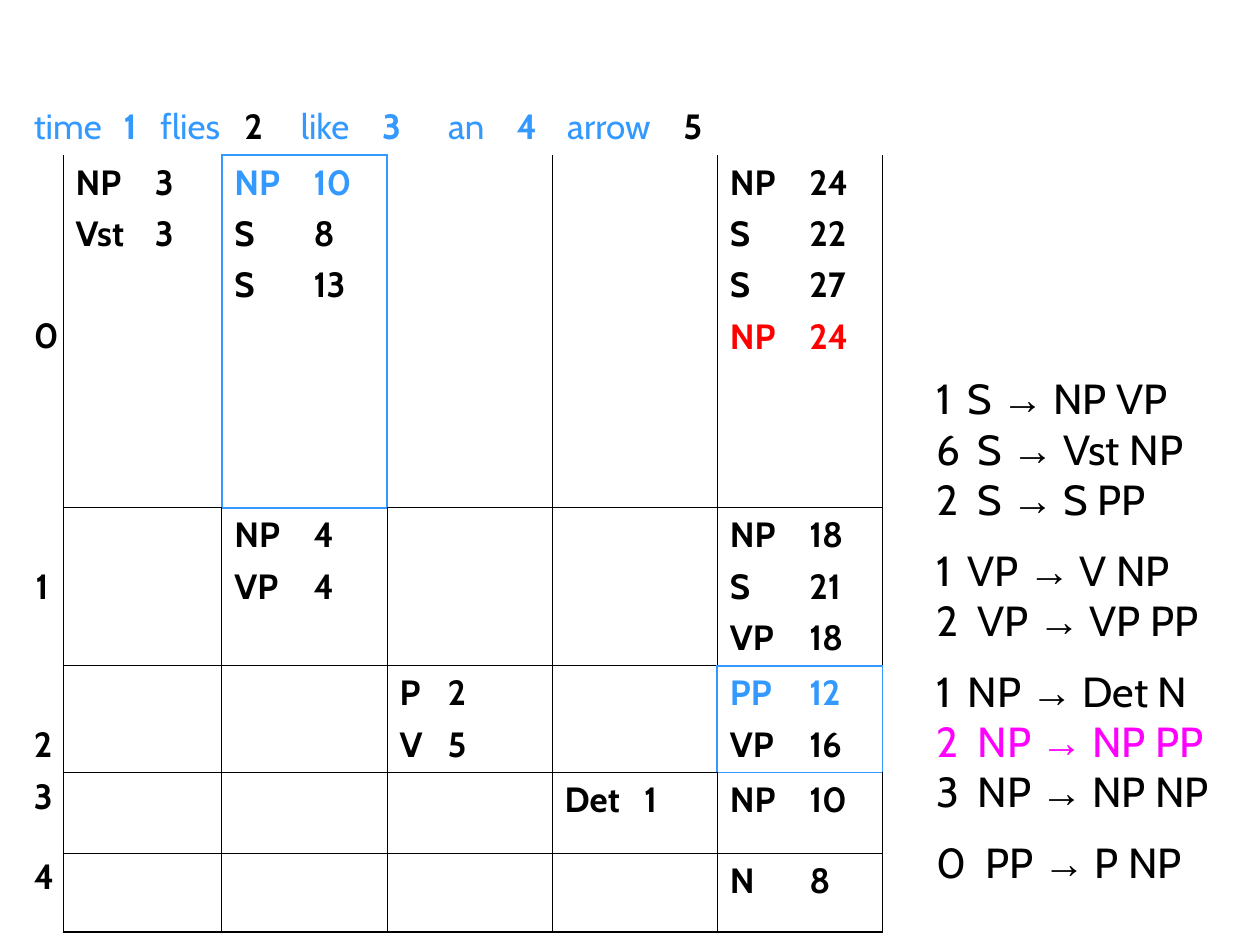
from lxml.etree import SubElement
from pptx import Presentation
from pptx.dml.color import RGBColor
from pptx.enum.text import MSO_AUTO_SIZE, PP_ALIGN
from pptx.oxml.ns import qn
from pptx.util import Cm, Pt

BLACK, BLUE, RED, PINK = "000000", "3399FF", "FF0000", "FF00FF"
NO_STYLE = "{2D5ABB26-0587-4C30-8999-92F81FD0307C}"

COLUMNS = [0.84, 3.2, 3.33, 3.33, 3.33, 3.33]
ROWS = [1.09, 7.11, 3.15, 2.13, 1.62, 1.6]
HIGHLIGHTED = {(1, 2), (3, 5)}
SIDES = {"lnL": (0, -1), "lnR": (0, 1), "lnT": (-1, 0), "lnB": (1, 0)}

SENTENCE = ["time", "1", "flies", "2", "like", "3", "an", "4", "arrow", "5"]
SENTENCE_TABS = [1.81, 2.55, 4.24, 5.38, 7.02, 8.35, 9.73, 10.75, 13.09]
SPAN_ENDS = {"2", "5"}

# (row, column): entries of category, weight and colour
CHART = {
    (1, 1): [("NP", 3, BLACK), ("Vst", 3, BLACK)],
    (1, 2): [("NP", 10, BLUE), ("S", 8, BLACK), ("S", 13, BLACK)],
    (1, 5): [("NP", 24, BLACK), ("S", 22, BLACK), ("S", 27, BLACK), ("NP", 24, RED)],
    (2, 2): [("NP", 4, BLACK), ("VP", 4, BLACK)],
    (2, 5): [("NP", 18, BLACK), ("S", 21, BLACK), ("VP", 18, BLACK)],
    (3, 3): [("P", 2, BLACK), ("V", 5, BLACK)],
    (3, 5): [("PP", 12, BLUE), ("VP", 16, BLACK)],
    (4, 4): [("Det", 1, BLACK)],
    (4, 5): [("NP", 10, BLACK)],
    (5, 5): [("N", 8, BLACK)],
}
# start position: line spacing of its label
LABEL_SPACING = [None, 2.2, 2.2, 0.9, 0.9]

# weight, left side, right side, first of its group, colour
GRAMMAR = [
    (1, "S", "NP VP", False, BLACK),
    (6, "S", "Vst NP", False, BLACK),
    (2, "S", "S PP", False, BLACK),
    (1, "VP", "V NP", True, BLACK),
    (2, "VP", "VP PP", False, BLACK),
    (1, "NP", "Det N", True, BLACK),
    (2, "NP", "NP PP", False, PINK),
    (3, "NP", "NP NP", False, BLACK),
    (0, "PP", "P NP", True, BLACK),
]
WEIGHT_TABS = {0: 1.0, 1: 0.64}


def color(value):
    return RGBColor.from_string(value)


def add_span(para, text, size, shade, bold=False, face="Cabin"):
    span = para.add_run()
    span.text = text
    span.font.size = Pt(size)
    span.font.name = face
    span.font.bold = bold
    span.font.color.rgb = color(shade)


def add_tabs(para, stops):
    tabs = SubElement(para._p.get_or_add_pPr(), qn("a:tabLst"))
    for stop in stops:
        SubElement(tabs, qn("a:tab"), pos=str(Cm(stop)), algn="l")


def next_para(frame, index):
    return frame.add_paragraph() if index else frame.paragraphs[0]


def draw_borders(cell, row, column):
    """Blue lines around highlighted cells, thicker lines on the outer edge."""
    properties = cell._tc.get_or_add_tcPr()
    for side, (down, across) in SIDES.items():
        neighbour = (row + down, column + across)
        blue = bool({(row, column), neighbour} & HIGHLIGHTED)
        outer = neighbour[0] == len(ROWS) or neighbour[1] == len(COLUMNS)
        hidden = (row == 0 or (column == 0 and side != "lnR")
                  or (row == 1 and side == "lnT" and not blue))
        line = SubElement(properties, qn("a:" + side),
                          w=str(Pt(1.08 if blue or outer else 0.45)))
        if hidden:
            SubElement(line, qn("a:noFill"))
        else:
            fill = SubElement(line, qn("a:solidFill"))
            SubElement(fill, qn("a:srgbClr"), val=BLUE if blue else BLACK)


def fill_sentence(cell):
    para = cell.text_frame.paragraphs[0]
    add_tabs(para, SENTENCE_TABS)
    for index, word in enumerate(SENTENCE):
        add_span(para, "\t" + word if index else word, 20,
                 BLACK if word in SPAN_ENDS else BLUE, word.isdigit())


def fill_label(cell, position, spacing):
    para = cell.text_frame.paragraphs[0]
    para.alignment = PP_ALIGN.CENTER
    if spacing:
        para.line_spacing = spacing
    else:
        cell.margin_top = Cm(3.22)
    add_span(para, str(position), 20, BLACK, True)


def fill_entries(cell, entries, stop):
    for index, (category, weight, shade) in enumerate(entries):
        para = next_para(cell.text_frame, index)
        add_tabs(para, [stop])
        if index:
            para.space_before = Pt(5)
        add_span(para, f"{category}\t{weight}", 20, shade, True)


def add_parse_chart(page, left, top):
    frame = page.shapes.add_table(len(ROWS), len(COLUMNS), Cm(left), Cm(top),
                                  Cm(sum(COLUMNS)), Cm(sum(ROWS)))
    table = frame.table
    table.first_row = table.horz_banding = False
    table._tbl.tblPr.find(qn("a:tableStyleId")).text = NO_STYLE
    for column, width in zip(table.columns, COLUMNS):
        column.width = Cm(width)
    for row, height in zip(table.rows, ROWS):
        row.height = Cm(height)

    for row in range(len(ROWS)):
        for column in range(len(COLUMNS)):
            cell = table.cell(row, column)
            draw_borders(cell, row, column)
            cell.fill.background()
    table.cell(0, 0).merge(table.cell(0, len(COLUMNS) - 1))

    fill_sentence(table.cell(0, 0))
    for position, spacing in enumerate(LABEL_SPACING):
        fill_label(table.cell(position + 1, 0), position, spacing)
    for (row, column), entries in CHART.items():
        fill_entries(table.cell(row, column), entries, 0.97 if column == 3 else 1.6)


def add_grammar(page, left, top, width, height):
    box = page.shapes.add_textbox(Cm(left), Cm(top), Cm(width), Cm(height))
    frame = box.text_frame
    frame.word_wrap = True
    frame.auto_size = MSO_AUTO_SIZE.SHAPE_TO_FIT_TEXT
    for index, (weight, parent, children, starts_group, shade) in enumerate(GRAMMAR):
        para = next_para(frame, index)
        add_tabs(para, [WEIGHT_TABS.get(weight, 0.84)])
        if starts_group:
            para.line_spacing = 1.4
        add_span(para, f"{weight}\t{parent} ", 24, shade)
        add_span(para, "→", 24, shade, face="Arial")
        add_span(para, " " + children, 24, shade)


def main():
    deck = Presentation()
    deck.slide_width, deck.slide_height = Cm(25.4), Cm(19.05)
    page = deck.slides.add_slide(deck.slide_layouts[6])
    add_parse_chart(page, 0.43, 2.01)
    add_grammar(page, 18.62, 7.39, 6.78, 10.62)
    deck.save("out.pptx")


if __name__ == "__main__":
    main()
